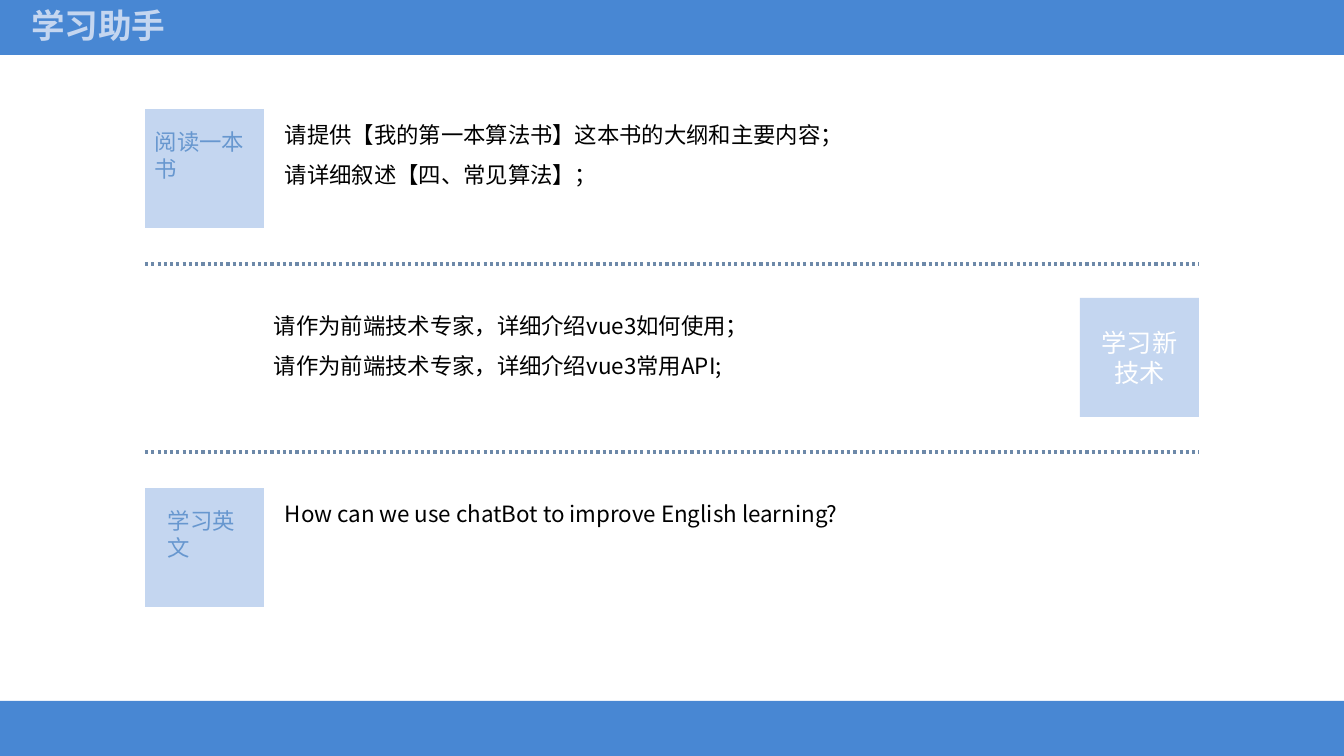
from lxml.etree import SubElement
from pptx import Presentation
from pptx.dml.color import RGBColor
from pptx.enum.dml import MSO_LINE_DASH_STYLE as Dash
from pptx.enum.shapes import MSO_CONNECTOR, MSO_SHAPE
from pptx.enum.text import MSO_ANCHOR, MSO_AUTO_SIZE, PP_ALIGN
from pptx.oxml.ns import qn
from pptx.util import Pt

COLORS = {"bar": "4887D3", "tile": "C4D6F0", "rule": "6D89A9", "label": "6797CF",
          "white": "FFFFFF", "body": "000000"}
FONT = "Noto Sans CJK SC"
TITLE = "学习助手"
PROMPTS = [
    ((264, 294), ["请作为前端技术专家，详细介绍vue3如何使用；",
                  "请作为前端技术专家，详细介绍vue3常用API;"]),
    ((275, 103), ["请提供【我的第一本算法书】这本书的大纲和主要内容；",
                  "请详细叙述【四、常见算法】；"]),
    ((275, 482), ["How can we use chatBot to improve English learning?"]),
]
LABELS = [
    ((145, 123, 119, 65), "阅读一本书"),
    ((158, 502, 92, 65), "学习英文"),
]
CENTERED_LABEL = "学习新技术"

EMU_PER_PX = 914400 / 100.8
WIDTH, HEIGHT, BAR = 1344, 756, 55
LEFT, RIGHT, TILE = 145, 1199, 119
TILES = [(LEFT, 109), (RIGHT - TILE, 298), (LEFT, 488)]
RULES = [264, 452]
PROMPT_WIDTH, LINE_HEIGHT = 804, 41


def px(*lengths):
    return [round(length * EMU_PER_PX) for length in lengths]


def rgb(name):
    return RGBColor.from_string(COLORS[name])


def write(shape, lines, color, size=16, bold=False, **paragraph_format):
    frame = shape.text_frame
    frame.word_wrap = True
    frame.text = "\n".join(lines)
    for paragraph in frame.paragraphs:
        for name, value in paragraph_format.items():
            setattr(paragraph, name, value)
        for run in paragraph.runs:
            for name, value in {"name": FONT, "size": Pt(size), "bold": bold}.items():
                setattr(run.font, name, value)
            run.font.color.rgb = rgb(color)
            SubElement(run.font._element, qn("a:ea"), typeface=FONT)


def add_block(slide, box, color):
    block = slide.shapes.add_shape(MSO_SHAPE.RECTANGLE, *px(*box))
    block.shadow.inherit = False
    block.fill.solid()
    block.fill.fore_color.rgb = rgb(color)
    block.line.fill.background()
    return block


def add_rule(slide, y):
    rule = slide.shapes.add_connector(MSO_CONNECTOR.STRAIGHT, *px(LEFT, y, RIGHT, y))
    rule.line.color.rgb = rgb("rule")
    rule.line.width = Pt(2.25)
    rule.line.dash_style = Dash.ROUND_DOT
    SubElement(rule.element.spPr, qn("a:effectLst"))


def add_title(slide):
    title = slide.shapes.title
    title.element.getparent().append(title.element)
    for name, value in zip(("left", "top", "width", "height"), px(21, 0, 171, 50)):
        setattr(title, name, value)
    title.text_frame.auto_size = MSO_AUTO_SIZE.NONE
    title.text_frame.vertical_anchor = MSO_ANCHOR.TOP
    write(title, [TITLE], "tile", 24, True, alignment=PP_ALIGN.LEFT)


def main():
    presentation = Presentation()
    presentation.slide_width, presentation.slide_height = px(WIDTH, HEIGHT)
    slide = presentation.slides.add_slide(presentation.slide_layouts.get_by_name("Title Only"))

    for top in (0, HEIGHT - BAR):
        add_block(slide, (0, top, WIDTH, BAR), "bar")
    add_title(slide)
    for y in RULES:
        add_rule(slide, y)

    tiles = [add_block(slide, (*corner, TILE, TILE), "tile") for corner in TILES]
    tiles[1].text_frame.vertical_anchor = MSO_ANCHOR.MIDDLE
    write(tiles[1], [CENTERED_LABEL], "white", 18, alignment=PP_ALIGN.CENTER)

    for corner, lines in PROMPTS:
        box = slide.shapes.add_textbox(*px(*corner, PROMPT_WIDTH, 10 + LINE_HEIGHT * len(lines)))
        write(box, lines, "body", line_spacing=1.5)
    for place, text in LABELS:
        write(slide.shapes.add_textbox(*px(*place)), [text], "label")

    presentation.save("out.pptx")


if __name__ == "__main__":
    main()
